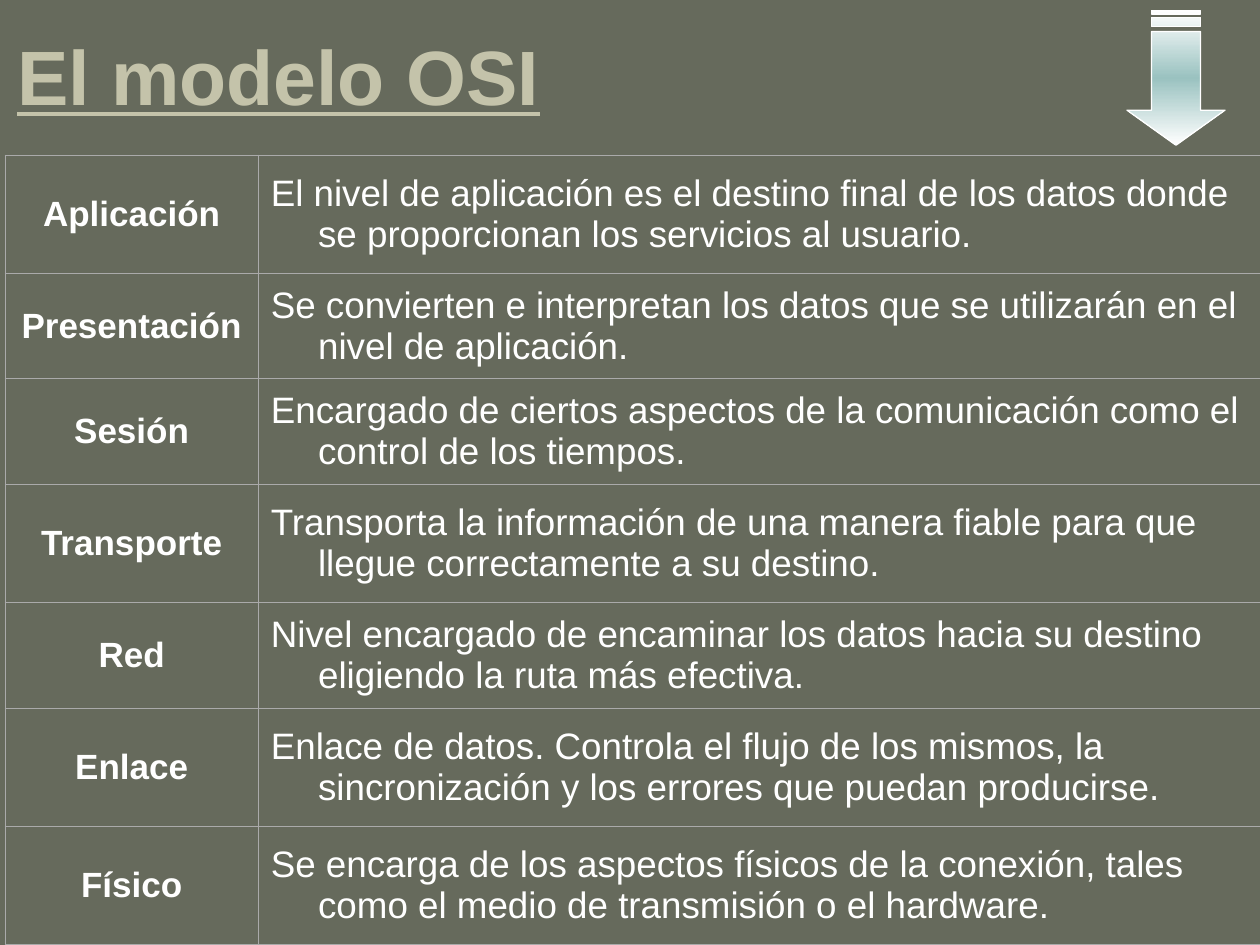
from dataclasses import dataclass

from lxml.etree import SubElement
from pptx import Presentation
from pptx.dml.color import RGBColor
from pptx.enum.text import MSO_ANCHOR, PP_ALIGN
from pptx.oxml.ns import qn
from pptx.slide import Slide
from pptx.table import _Cell
from pptx.text.text import TextFrame
from pptx.util import Pt


@dataclass(frozen=True)
class Theme:
    font: str = "Arial"
    background: str = "666A5C"
    title: str = "C4C3AA"
    text: str = "FFFFFF"
    border: str = "AAAAAA"
    arrow_edge: str = "FFFFFF"
    arrow_middle: str = "9AC2C0"
    title_size: float = 44
    layer_size: float = 20
    description_size: float = 21


@dataclass(frozen=True)
class Layer:
    name: str
    description: str
    height: float


THEME = Theme()
TALL, SHORT = 67.5, 60.4
HANGING_INDENT = 27
LAYERS = [
    Layer("Aplicación", "El nivel de aplicación es el destino final de los datos donde se proporcionan los servicios al usuario.", TALL),
    Layer("Presentación", "Se convierten e interpretan los datos que se utilizarán en el nivel de aplicación.", SHORT),
    Layer("Sesión", "Encargado de ciertos aspectos de la comunicación como el control de los tiempos.", SHORT),
    Layer("Transporte", "Transporta la información de una manera fiable para que llegue correctamente a su destino.", TALL),
    Layer("Red", "Nivel encargado de encaminar los datos hacia su destino eligiendo la ruta más efectiva.", SHORT),
    Layer("Enlace", "Enlace de datos. Controla el flujo de los mismos, la sincronización y los errores que puedan producirse.", TALL),
    Layer("Físico", "Se encarga de los aspectos físicos de la conexión, tales como el medio de transmisión o el hardware.", TALL),
]


def write_text(frame: TextFrame, text: str, *, size: float, color: str = THEME.text,
               bold: bool = False, underline: bool = False,
               align: PP_ALIGN = PP_ALIGN.LEFT, hanging: float = 0) -> None:
    frame.word_wrap = True
    paragraph = frame.paragraphs[0]
    paragraph.alignment = align
    if hanging:
        properties = paragraph._p.get_or_add_pPr()
        properties.set("marL", str(Pt(hanging)))
        properties.set("indent", str(-Pt(hanging)))
    run = paragraph.add_run()
    run.text = text
    run.font.name = THEME.font
    run.font.size = Pt(size)
    run.font.bold = bold
    run.font.underline = underline
    run.font.color.rgb = RGBColor.from_string(color)


def format_cell(cell: _Cell) -> None:
    cell.vertical_anchor = MSO_ANCHOR.MIDDLE
    properties = cell._tc.get_or_add_tcPr()
    for side in ("a:lnL", "a:lnR", "a:lnT", "a:lnB"):
        line = SubElement(properties, qn(side), w=str(Pt(0.45)))
        fill = SubElement(line, qn("a:solidFill"))
        SubElement(fill, qn("a:srgbClr"), val=THEME.border)
    cell.fill.background()


def add_title(slide: Slide) -> None:
    box = slide.shapes.add_textbox(Pt(2.9), Pt(-2.2), Pt(648), Pt(90))
    box.text_frame.vertical_anchor = MSO_ANCHOR.MIDDLE
    write_text(box.text_frame, "El modelo OSI", size=THEME.title_size,
               color=THEME.title, bold=True, underline=True)


def add_layer_table(slide: Slide, layers: list[Layer]) -> None:
    widths = (144.7, 572.4)
    height = sum(layer.height for layer in layers)
    table = slide.shapes.add_table(len(layers), 2, Pt(2.9), Pt(88.6),
                                   Pt(sum(widths)), Pt(height)).table
    table.first_row = table.horz_banding = False
    for column, width in zip(table.columns, widths):
        column.width = Pt(width)
    for index, layer in enumerate(layers):
        table.rows[index].height = Pt(layer.height)
        name, description = table.cell(index, 0), table.cell(index, 1)
        format_cell(name)
        format_cell(description)
        write_text(name.text_frame, layer.name, size=THEME.layer_size, bold=True,
                   align=PP_ALIGN.CENTER, hanging=HANGING_INDENT)
        write_text(description.text_frame, layer.description,
                   size=THEME.description_size, hanging=HANGING_INDENT)


def add_striped_arrow(slide: Slide) -> None:
    center, half_head, half_shaft = 672, 28.5, 14.4
    left, right = center - half_shaft, center + half_shaft
    shoulder, tip = 63.4, 83
    head = [(center + half_head, shoulder), (right, shoulder), (right, 17.6),
            (left, 17.6), (left, shoulder), (center - half_head, shoulder), (center, tip)]
    stripes = [[(right, top), (left, top), (left, bottom), (right, bottom)]
               for top, bottom in ((10.4, 15.2), (5.6, 8))]
    builder = slide.shapes.build_freeform(*head[0], scale=Pt(1))
    builder.add_line_segments(head[1:])
    for stripe in stripes:
        builder.move_to(*stripe[0])
        builder.add_line_segments(stripe[1:])
    shape = builder.convert_to_shape()
    shape.shadow.inherit = False
    shape.fill.gradient()
    shape.fill.gradient_angle = 270
    stops = shape.fill._fill._gradFill.find(qn("a:gsLst"))
    for stop in list(stops):
        stops.remove(stop)
    for position, color in ((0, THEME.arrow_edge), (50, THEME.arrow_middle), (100, THEME.arrow_edge)):
        stop = SubElement(stops, qn("a:gs"), pos=str(position * 1000))
        SubElement(stop, qn("a:srgbClr"), val=color)
    shape.line.color.rgb = RGBColor.from_string(THEME.arrow_edge)
    shape.line.width = Pt(0.75)


def main() -> None:
    presentation = Presentation()
    presentation.slide_width, presentation.slide_height = Pt(720), Pt(540)
    slide = presentation.slides.add_slide(presentation.slide_layouts[6])
    slide.background.fill.solid()
    slide.background.fill.fore_color.rgb = RGBColor.from_string(THEME.background)
    add_title(slide)
    add_layer_table(slide, LAYERS)
    add_striped_arrow(slide)
    presentation.save("out.pptx")


if __name__ == "__main__":
    main()
